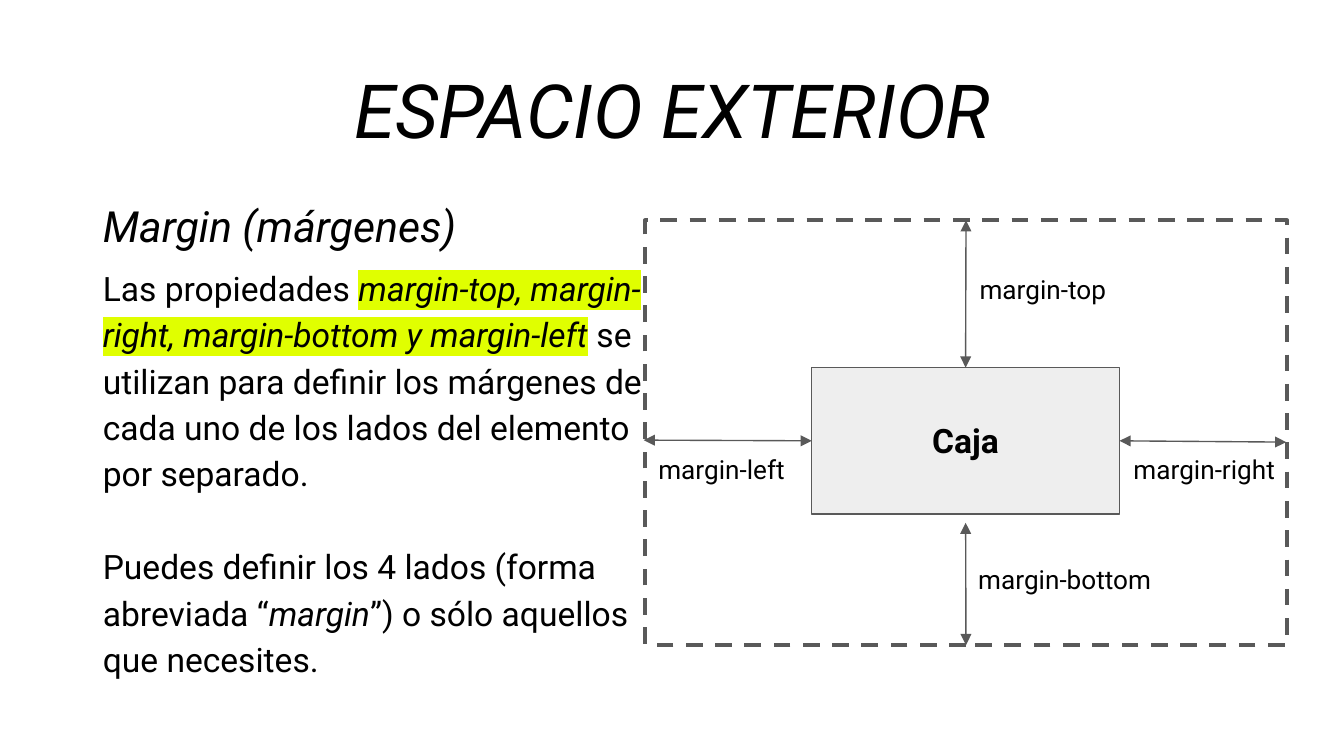
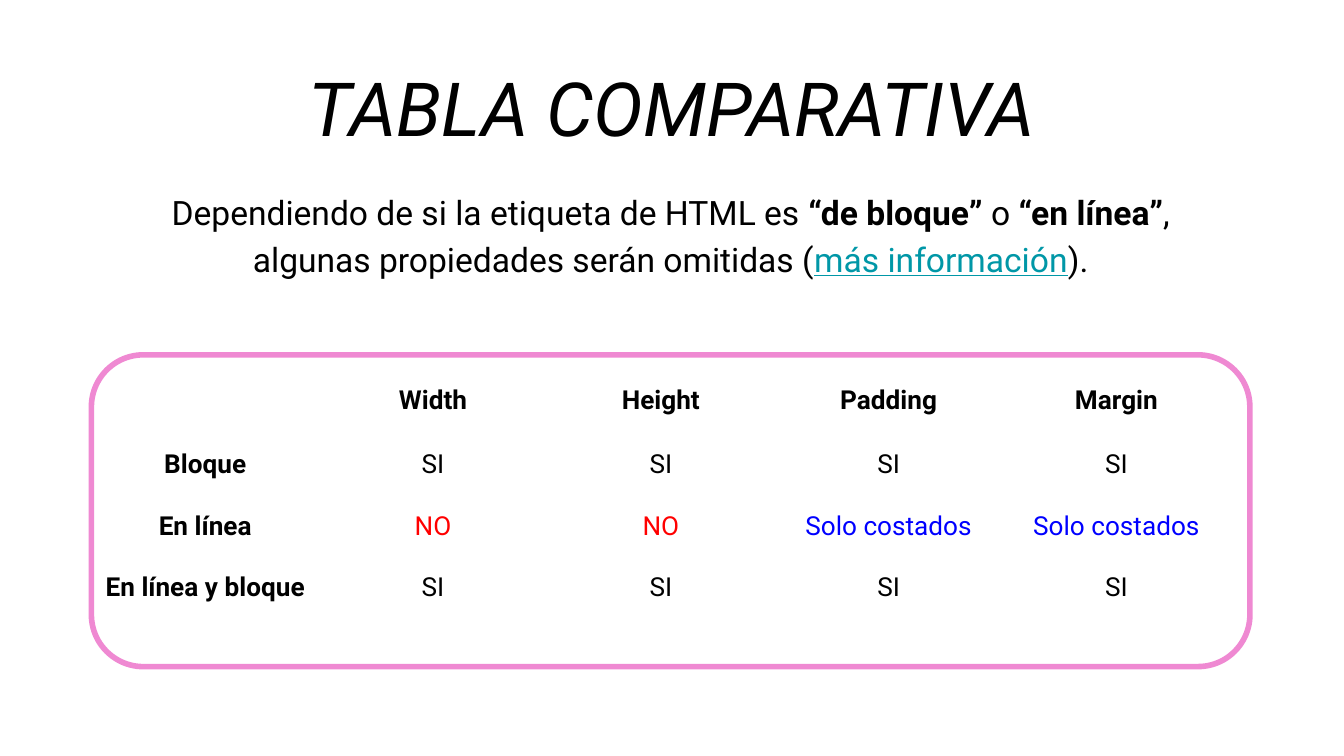
from dataclasses import dataclass

from lxml import etree
from pptx import Presentation
from pptx import util as u
from pptx.dml.color import RGBColor
from pptx.enum import dml, shapes, text
from pptx.oxml.ns import qn

PX = 4572  # EMU in one px, 200 px to the inch
INSET = 20
NO_TABLE_STYLE = "{2D5ABB26-0587-4C30-8999-92F81FD0307C}"
TOP, LEFT, BOTTOM, RIGHT = range(4)  # connection sites of a rectangle
LEFT_ALIGN, CENTER = text.PP_ALIGN.LEFT, text.PP_ALIGN.CENTER


@dataclass(frozen=True)
class Theme:
    font: str = "Roboto"
    ink: str = "000000"
    gray: str = "595959"
    box: str = "EEEEEE"
    marker: str = "E0FF00"
    link: str = "0097A7"
    red: str = "FF0000"
    blue: str = "0000FF"
    pink: str = "EF89D2"
    title_size: int = 40
    heading_size: int = 23
    body_size: int = 18
    label_size: int = 14
    spacing: float = 1.15


THEME = Theme()


def px(*lengths):
    return [length * PX for length in lengths]


def write(paragraph, words, size=THEME.body_size, color=THEME.ink, bold=False,
          italic=False, underline=False, highlight=None):
    """Add one formatted run to a paragraph."""
    run = paragraph.add_run()
    run.text = words
    font = run.font
    font.size, font.bold, font.italic = u.Pt(size), bold, italic
    font.underline = underline
    font.color.rgb = RGBColor.from_string(color)
    font.name = THEME.font
    if highlight:
        marker = etree.Element(qn("a:highlight"))
        etree.SubElement(marker, qn("a:srgbClr"), val=highlight)
        run._r.rPr.find(qn("a:latin")).addprevious(marker)


class Deck:
    def __init__(self, width, height):
        self.presentation = Presentation()
        self.presentation.slide_width, self.presentation.slide_height = px(width, height)
        self.slide = None

    def add_slide(self):
        layout = self.presentation.slide_layouts[1]  # title and body
        self.slide = self.presentation.slides.add_slide(layout)

    def frame(self, shape, auto_size=text.MSO_AUTO_SIZE.NONE):
        frame = shape.text_frame
        frame.word_wrap = True
        frame.auto_size = auto_size
        frame.vertical_anchor = text.MSO_ANCHOR.TOP
        frame.margin_left = frame.margin_right = INSET * PX
        frame.margin_top = frame.margin_bottom = INSET * PX
        return frame

    def fill_placeholder(self, placeholder, box, paragraphs, align):
        """paragraphs holds pairs of space before and runs of (words, format)."""
        placeholder.left, placeholder.top, placeholder.width, placeholder.height = px(*box)
        frame = self.frame(placeholder)
        for index, (before, runs) in enumerate(paragraphs):
            paragraph = frame.add_paragraph() if index else frame.paragraphs[0]
            properties = paragraph._p.get_or_add_pPr()
            properties.set("marL", "0")
            properties.set("indent", "0")
            etree.SubElement(properties, qn("a:buNone"))
            paragraph.alignment = align
            paragraph.line_spacing = THEME.spacing
            paragraph.space_before = u.Pt(before)
            for words, look in runs:
                write(paragraph, words, **look)

    def title(self, words, box):
        runs = [(words, dict(size=THEME.title_size, italic=True))]
        self.fill_placeholder(self.slide.shapes.title, box, [(0, runs)], CENTER)

    def body(self, box, paragraphs, align=LEFT_ALIGN):
        self.fill_placeholder(self.slide.placeholders[1], box, paragraphs, align)

    def label(self, words, box, align=LEFT_ALIGN, **look):
        shape = self.slide.shapes.add_textbox(*px(*box))
        frame = self.frame(shape, text.MSO_AUTO_SIZE.SHAPE_TO_FIT_TEXT)
        frame.paragraphs[0].alignment = align
        write(frame.paragraphs[0], words, **look)

    def outline(self, kind, box, line, width, fill=None, dash=None):
        shape = self.slide.shapes.add_shape(kind, *px(*box))
        shape.shadow.inherit = False
        if fill:
            shape.fill.solid()
            shape.fill.fore_color.rgb = RGBColor.from_string(fill)
        else:
            shape.fill.background()
        shape.line.color.rgb = RGBColor.from_string(line)
        shape.line.width = u.Pt(width)
        if dash:
            shape.line.dash_style = dash
        return shape

    def double_arrow(self, start, end, begin_at=None, end_at=None):
        """begin_at and end_at are pairs of shape and connection site."""
        connector = self.slide.shapes.add_connector(
            shapes.MSO_CONNECTOR.STRAIGHT, *px(*start, *end))
        if begin_at:
            connector.begin_connect(*begin_at)
        if end_at:
            connector.end_connect(*end_at)
        connector.line.color.rgb = RGBColor.from_string(THEME.gray)
        connector.line.width = u.Pt(0.75)
        for tip in ("a:headEnd", "a:tailEnd"):
            etree.SubElement(connector.line._ln, qn(tip), type="triangle")
        etree.SubElement(connector._element.spPr, qn("a:effectLst"))

    def table(self, rows, left, top, column_width, row_heights, colors):
        graphic = self.slide.shapes.add_table(
            len(rows), len(rows[0]),
            *px(left, top, column_width * len(rows[0]), sum(row_heights)))
        table = graphic.table
        table.first_row = table.horz_banding = False
        table._tbl.tblPr.find(qn("a:tableStyleId")).text = NO_TABLE_STYLE
        for column in table.columns:
            column.width = column_width * PX
        for r, values in enumerate(rows):
            table.rows[r].height = row_heights[r] * PX
            for c, value in enumerate(values):
                cell = table.cell(r, c)
                cell.fill.background()
                cell.margin_left = cell.margin_right = INSET * PX
                cell.margin_top = cell.margin_bottom = INSET * PX
                paragraph = cell.text_frame.paragraphs[0]
                paragraph.alignment = CENTER
                if value:
                    write(paragraph, value, size=THEME.label_size,
                          bold=r == 0 or c == 0, color=colors.get(value, THEME.ink))
                else:
                    etree.SubElement(paragraph._p, qn("a:endParaRPr"),
                                     sz=str(THEME.label_size * 100))


def margin_slide(deck):
    deck.add_slide()
    deck.title("ESPACIO EXTERIOR", (174, 55, 1654, 152))
    plain, italic = {}, dict(italic=True)
    deck.body((133, 265, 878, 794), [
        (0, [("Margin (márgenes)", dict(size=THEME.heading_size, italic=True))]),
        (6, [("Las propiedades ", plain),
             ("margin-top, margin-right, margin-bottom y margin-left",
              dict(italic=True, highlight=THEME.marker)),
             (" se utilizan para definir los márgenes de cada uno de los lados "
              "del elemento por separado.", plain)]),
        (25, [("Puedes definir los 4 lados (forma abreviada “", plain),
              ("margin", italic),
              ("”) o sólo aquellos que necesites.", plain)]),
    ])

    # Box model diagram
    rectangle = shapes.MSO_SHAPE.RECTANGLE
    outer = deck.outline(rectangle, (960, 328, 955, 632), THEME.gray, 2.25,
                         dash=dml.MSO_LINE.DASH)
    inner = deck.outline(rectangle, (1208, 547, 458, 218), THEME.gray, 0.75, fill=THEME.box)
    deck.label("Caja", (1284, 605, 306, 100), align=CENTER, bold=True)

    # Margin arrows
    deck.double_arrow((1437, 547), (1437, 328), (inner, TOP), (outer, TOP))
    deck.double_arrow((1437, 960), (1437, 778), begin_at=(outer, BOTTOM))
    deck.double_arrow((1208, 656), (958, 655), begin_at=(inner, LEFT))
    deck.double_arrow((1914, 658), (1666, 656), end_at=(inner, RIGHT))

    # Margin names
    for side, left, top in (("top", 1438, 387), ("right", 1667, 655),
                            ("left", 960, 655), ("bottom", 1436, 819)):
        deck.label(f"margin-{side}", (left, top, 306, 88), size=THEME.label_size)


def comparison_slide(deck):
    deck.add_slide()
    deck.title("TABLA COMPARATIVA", (318, 52, 1364, 152))
    plain, bold = {}, dict(bold=True)
    deck.body((143, 257, 1710, 168), [
        (0, [("Dependiendo de si la etiqueta de HTML es ", plain),
             ("“de bloque”", bold), (" o ", plain), ("“en línea”", bold),
             (", algunas propiedades serán omitidas (", plain),
             ("más información", dict(color=THEME.link, underline=True)),
             (").", plain)]),
    ], align=CENTER)

    # Table inside a rounded frame
    yes, no, sides = "SI", "NO", "Solo costados"
    rows = [
        ["", "Width", "Height", "Padding", "Margin"],
        ["Bloque"] + [yes] * 4,
        ["En línea", no, no, sides, sides],
        ["En línea y bloque"] + [yes] * 4,
    ]
    deck.table(rows, 136, 553, 339, [95, 92, 92, 140], {no: THEME.red, sides: THEME.blue})
    deck.outline(shapes.MSO_SHAPE.ROUNDED_RECTANGLE, (136, 528, 1724, 464), THEME.pink, 3)


def main():
    deck = Deck(2000, 1125)
    margin_slide(deck)
    comparison_slide(deck)
    deck.presentation.save("out.pptx")


if __name__ == "__main__":
    main()
